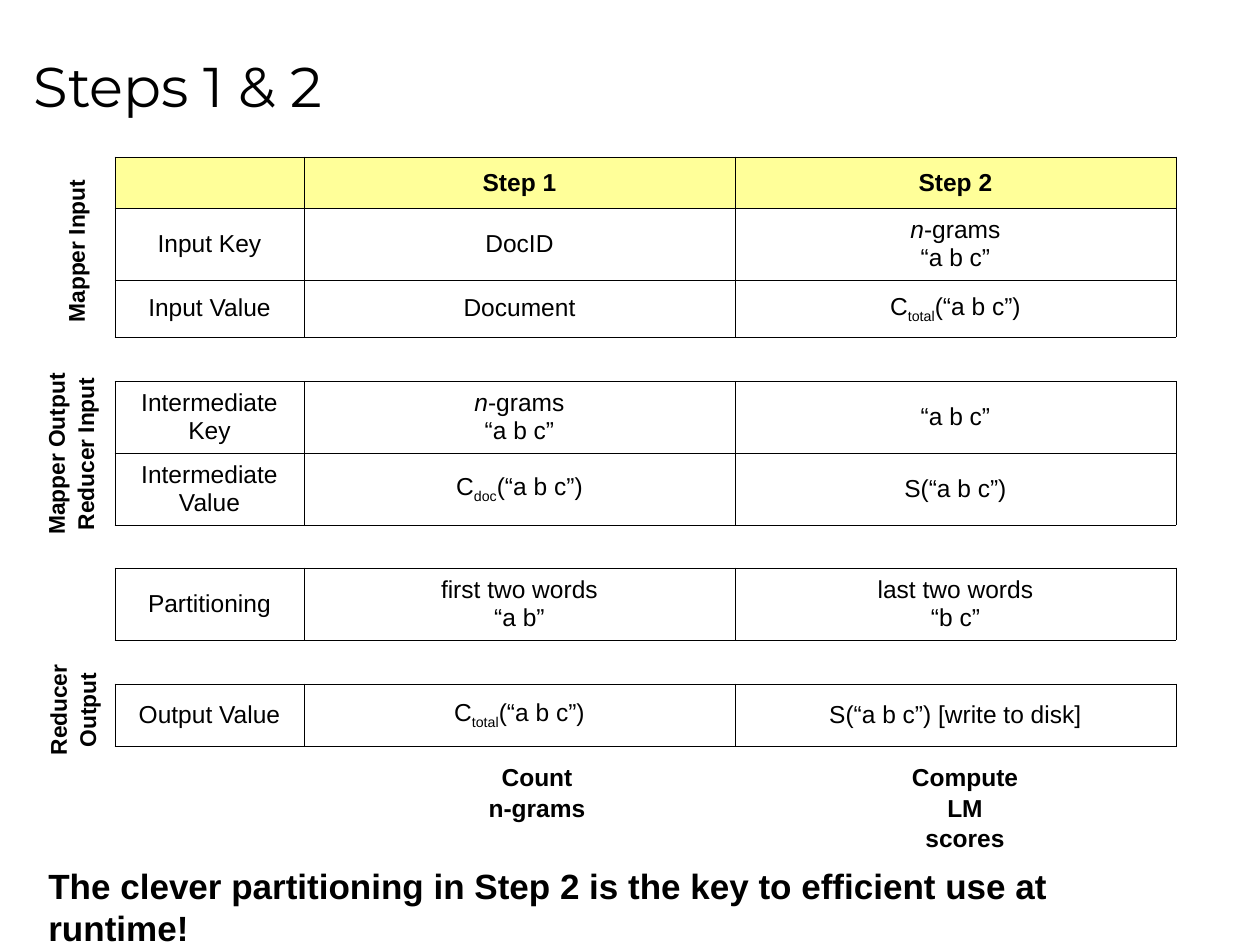
"""Build the slide comparing the two MapReduce steps for n-gram language models."""
from dataclasses import dataclass

from lxml.etree import SubElement
from pptx import Presentation
from pptx.dml.color import RGBColor as RGB
from pptx.enum.text import MSO_ANCHOR as ANCHOR, MSO_AUTO_SIZE as AUTO, PP_ALIGN as ALIGN
from pptx.oxml.ns import qn
from pptx.util import Emu, Pt


@dataclass(frozen=True)
class Theme:
    ink: str = "000000"
    paper: str = "FFFFFF"
    header: str = "FFFF99"
    heading: str = "Montserrat"
    body: str = "Arial"
    title: int = 32
    message: int = 20
    text: int = 14
    side: int = 13
    rule: float = 0.45
    hairline: float = 0.11


THEME = Theme()
BREAK = ("", "break")
NGRAMS = [("n", "italic"), ("-grams", ""), BREAK, ("“a b c”", "")]
HEADER = ["", "Step 1", "Step 2"]
GAP = ["", "", ""]


def count(sub):
    """Return the runs of a count with the given subscript."""
    return [("C", ""), (sub, "sub"), ("(“a b c”)", "")]


COLUMNS = [189, 431, 441]
ROWS = [
    (51, HEADER),
    (72, ["Input Key", "DocID", NGRAMS]),
    (57, ["Input Value", "Document", count("total")]),
    (44, GAP),
    (72, ["Intermediate Key", NGRAMS, "“a b c”"]),
    (72, ["Intermediate Value", count("doc"), "S(“a b c”)"]),
    (43, GAP),
    (72, ["Partitioning",
          [("first two words", ""), BREAK, ("“a b”", "")],
          [("last two words", ""), BREAK, ("“b c”", "")]]),
    (44, GAP),
    (63, ["Output Value", count("total"), "S(“a b c”) [write to disk]"]),
]
CAPTIONS = [
    ((476, 756, 122, 72), ["Count", "n-grams"]),
    ((892, 756, 146, 72), ["Compute", "LM scores"]),
]
SIDE_LABELS = [
    ((-8, 231, 168, 40), ["Mapper Input"]),
    ((-23, 420, 186, 68), ["Mapper Output", "Reducer Input"]),
    ((11, 676, 122, 68), ["Reducer", "Output"]),
]


def px(n):
    """Convert pixels at 126 to the inch into EMU."""
    return Emu(round(n * 914400 / 126))


def style(p, size, bold=False, align=ALIGN.CENTER, name=THEME.body):
    """Format a paragraph."""
    p.alignment = align
    p.font.size, p.font.bold, p.font.name = Pt(size), bold, name
    p.font.color.rgb = RGB.from_string(THEME.ink)


def add_title(slide, text):
    """Place and fill the title placeholder."""
    sp = slide.shapes.title
    sp.left, sp.top, sp.width, sp.height = map(px, (21, 15, 1197, 141))
    tf = sp.text_frame
    tf.text = text
    tf.vertical_anchor = ANCHOR.MIDDLE
    style(tf.paragraphs[0], THEME.title, align=ALIGN.LEFT, name=THEME.heading)


def add_label(slide, box, lines, size, align=ALIGN.CENTER, rotation=0):
    """Add a bold text box with one paragraph per line."""
    sp = slide.shapes.add_textbox(*map(px, box))
    sp.rotation = rotation
    tf = sp.text_frame
    tf.word_wrap, tf.auto_size = False, AUTO.SHAPE_TO_FIT_TEXT
    for i, line in enumerate(lines):
        p = tf.add_paragraph() if i else tf.paragraphs[0]
        p.text = line
        style(p, size, True, align)
        if i:
            p.space_before = Pt(1)


def add_runs(p, runs):
    """Write styled runs and line breaks into a paragraph."""
    for text, kind in runs:
        if kind == "break":
            p.add_line_break()
            continue
        r = p.add_run()
        r.text = text
        if kind == "italic":
            r.font.italic = True
        elif kind == "sub":
            r._r.get_or_add_rPr().set("baseline", "-25000")


def set_border(cell, side, width):
    """Draw one cell edge, or hide it when the width is zero."""
    tc_pr = cell._tc.get_or_add_tcPr()
    ln = SubElement(tc_pr, qn(f"a:ln{side}"), w=str(Pt(width)))
    if width:
        fill = SubElement(ln, qn("a:solidFill"))
        SubElement(fill, qn("a:srgbClr"), val=THEME.ink)
    else:
        SubElement(ln, qn("a:noFill"))


def edge_width(row, neighbour):
    """Return the width of the edge between two rows."""
    beside_gap = any(0 <= i < len(ROWS) and ROWS[i][1] is GAP for i in (row, neighbour))
    return THEME.hairline if beside_gap else THEME.rule


def fill_cell(cell, row, content):
    """Fill and format one table cell."""
    cells = ROWS[row][1]
    upright = 0 if cells is GAP else THEME.rule
    widths = {"L": upright, "R": upright,
              "T": edge_width(row, row - 1), "B": edge_width(row, row + 1)}
    for side, width in widths.items():
        set_border(cell, side, width)
    cell.fill.solid()
    colour = THEME.header if cells is HEADER else THEME.paper
    cell.fill.fore_color.rgb = RGB.from_string(colour)
    cell.vertical_anchor = ANCHOR.MIDDLE
    if cells is GAP:
        cell.margin_top = cell.margin_bottom = 0
    p = cell.text_frame.paragraphs[0]
    style(p, THEME.text, cells is HEADER)
    if content:
        add_runs(p, [(content, "")] if isinstance(content, str) else content)


def add_steps_table(slide):
    """Add the table of keys and values for both steps."""
    height = sum(h for h, _ in ROWS)
    table = slide.shapes.add_table(
        len(ROWS), len(COLUMNS), px(115), px(157), px(sum(COLUMNS)), px(height)).table
    table.first_row = table.horz_banding = False
    for column, width in zip(table.columns, COLUMNS):
        column.width = px(width)
    for i, (row_height, cells) in enumerate(ROWS):
        table.rows[i].height = px(row_height)
        for j, content in enumerate(cells):
            fill_cell(table.cell(i, j), i, content)


def main():
    """Build and save the slide."""
    prs = Presentation()
    prs.slide_width, prs.slide_height = px(1260), px(945)
    slide = prs.slides.add_slide(prs.slide_layouts[5])
    add_title(slide, "Steps 1 & 2")
    add_steps_table(slide)
    for box, lines in CAPTIONS:
        add_label(slide, box, lines, THEME.text)
    message = "The clever partitioning in Step 2 is the key to efficient use at runtime!"
    add_label(slide, (36, 858, 1174, 55), [message], THEME.message, ALIGN.LEFT)
    for box, lines in SIDE_LABELS:
        add_label(slide, box, lines, THEME.side, rotation=270)
    prs.save("out.pptx")


if __name__ == "__main__":
    main()
